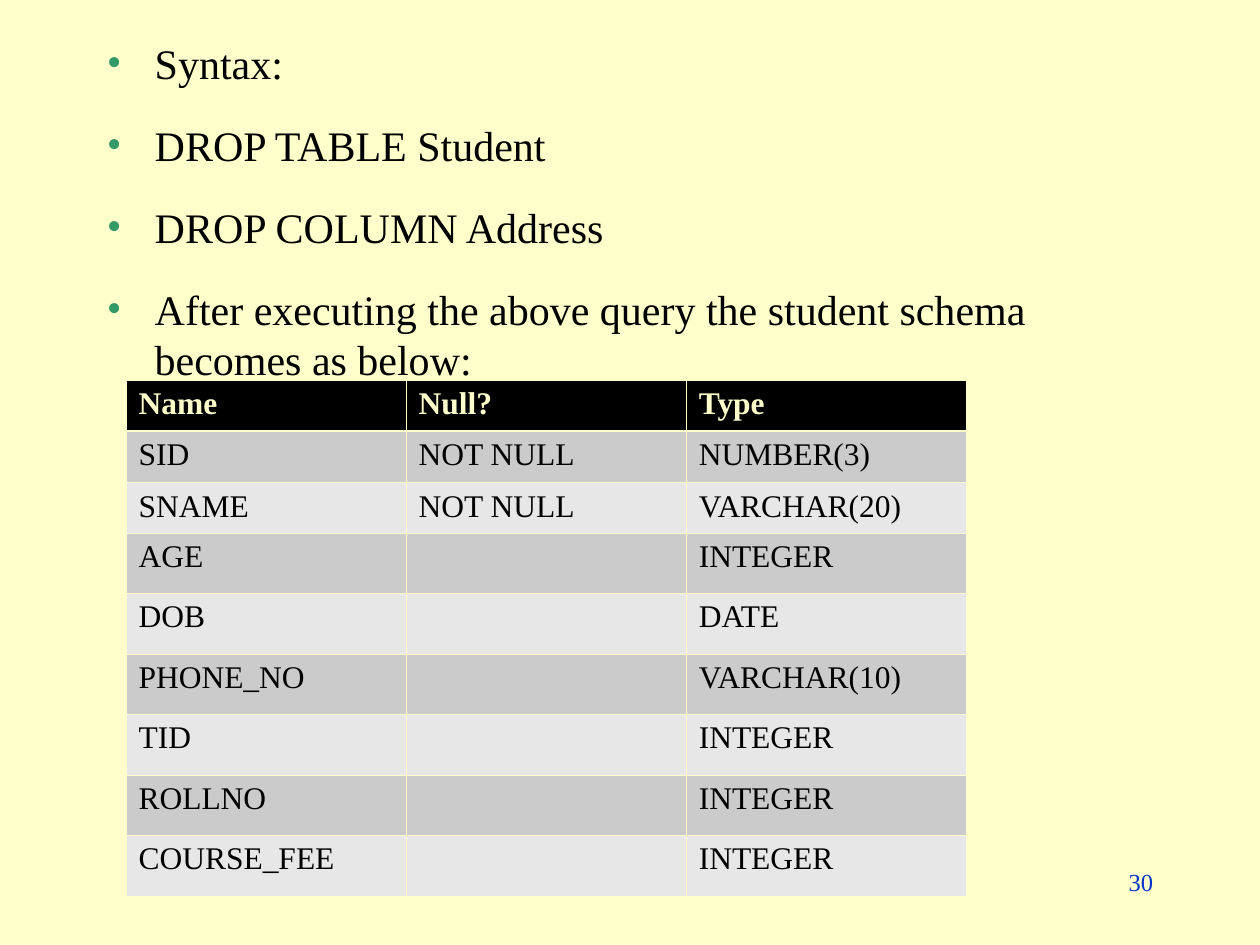
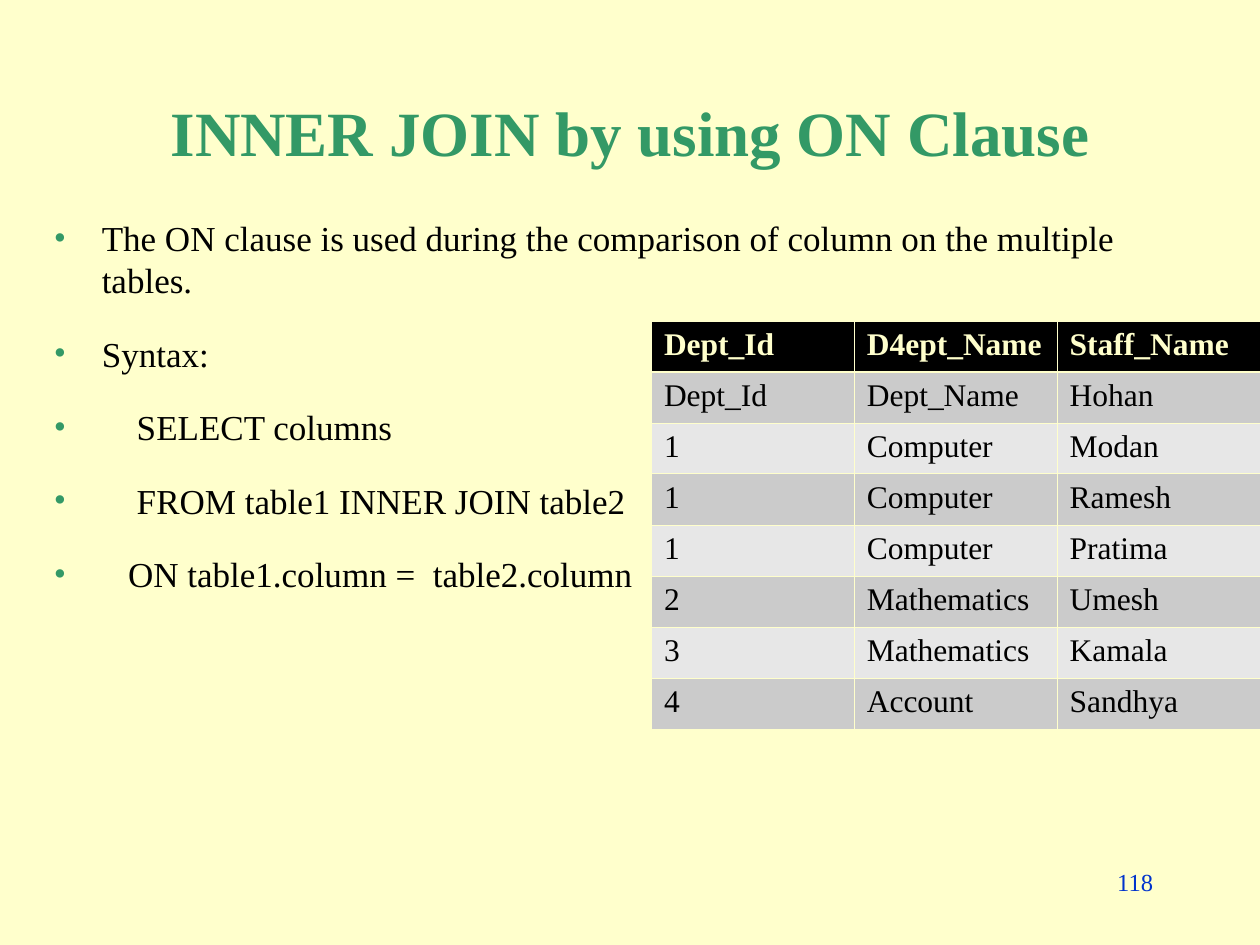
"""Build two slides on dropping a column and joining tables in SQL."""
from dataclasses import dataclass

from lxml.etree import SubElement as Sub
from pptx import Presentation
from pptx.dml.color import RGBColor as RGB
from pptx.enum.text import MSO_ANCHOR as Anchor, PP_ALIGN as Align
from pptx.oxml.ns import qn
from pptx.util import Inches, Pt


@dataclass(frozen=True)
class Theme:
    face: str = "Times New Roman"
    paper: str = "FFFFCC"
    ink: str = "000000"
    green: str = "339966"
    blue: str = "0033CC"
    bands: tuple = ("E7E7E7", "CBCBCB")
    title: int = 36
    cell: int = 18
    page: int = 14
    gap: int = 18
    indent: float = 0.38
    thin: float = 0.45
    thick: float = 1.47
    full: tuple = (0.4, 0.41)
    sparse: float = 0.48


class Deck:
    def __init__(self, theme):
        self.theme = theme
        self.prs = Presentation()
        self.prs.slide_width, self.prs.slide_height = Inches(10), Inches(7.5)
        fill = self.prs.slide_master.background.fill
        fill.solid()
        fill.fore_color.rgb = RGB.from_string(theme.paper)
        self.slide = None

    def start(self, page, title=None):
        layout = self.prs.slide_layouts[5 if title else 6]
        self.slide = self.prs.slides.add_slide(layout)
        if title:
            self.head(title)
        para = self.box(7.17, 6.83, 2.08, 0.5).paragraphs[0]
        para.text = str(page)
        para.alignment = Align.RIGHT
        self.style(para, self.theme.page, self.theme.blue)

    def style(self, para, size, color, bold=False):
        font = para.font
        font.name, font.size, font.bold = self.theme.face, Pt(size), bold
        font.color.rgb = RGB.from_string(color)

    def head(self, text):
        shape = self.slide.shapes.title
        shape.left, shape.top = Inches(0.75), Inches(0.67)
        shape.width, shape.height = Inches(8.5), Inches(0.75)
        frame = shape.text_frame
        frame.text = text
        frame.vertical_anchor = Anchor.MIDDLE
        para = frame.paragraphs[0]
        para.alignment = Align.CENTER
        self.style(para, self.theme.title, self.theme.green, True)

    def box(self, *place):
        frame = self.slide.shapes.add_textbox(*map(Inches, place)).text_frame
        frame.word_wrap = True
        return frame

    def bullets(self, place, lines, size):
        theme = self.theme
        frame = self.box(*place)
        for index, line in enumerate(lines):
            para = frame.add_paragraph() if index else frame.paragraphs[0]
            para.text = line
            if index:
                para.space_before = Pt(theme.gap)
            props = para._p.get_or_add_pPr()
            props.set("marL", str(Inches(theme.indent)))
            props.set("indent", str(-Inches(theme.indent)))
            tint = Sub(props, qn("a:buClr"))
            Sub(tint, qn("a:srgbClr"), val=theme.green)
            Sub(props, qn("a:buFont"), typeface=theme.face)
            Sub(props, qn("a:buChar"), char="•")
            self.style(para, size, theme.ink)

    def border(self, cell, row):
        props = cell._tc.get_or_add_tcPr()
        for side in "LRTB":
            heavy = (row, side) in ((0, "B"), (1, "T"))
            width = self.theme.thick if heavy else self.theme.thin
            line = Sub(props, qn(f"a:ln{side}"), w=str(Pt(width)))
            fill = Sub(line, qn("a:solidFill"))
            Sub(fill, qn("a:srgbClr"), val=self.theme.paper)

    def table(self, left, top, width, rows):
        theme = self.theme
        heights = [theme.full[index % 2] if all(row) else theme.sparse
                   for index, row in enumerate(rows)]
        place = map(Inches, (left, top, width, sum(heights)))
        table = self.slide.shapes.add_table(len(rows), len(rows[0]), *place).table
        table.horz_banding = False
        for index, row in enumerate(rows):
            table.rows[index].height = Inches(heights[index])
            first = index == 0
            shade = theme.ink if first else theme.bands[index % 2]
            color = theme.paper if first else theme.ink
            for cell, text in zip(table.rows[index].cells, row):
                cell.text = text
                self.border(cell, index)
                cell.fill.solid()
                cell.fill.fore_color.rgb = RGB.from_string(shade)
                self.style(cell.text_frame.paragraphs[0], theme.cell, color, first)


def main():
    deck = Deck(Theme())

    deck.start(30)
    deck.bullets((0.75, 0.25, 8.5, 6.42), (
        "Syntax:",
        "DROP TABLE Student",
        "DROP COLUMN Address",
        "After executing the above query the student schema becomes as below:",
    ), 24)
    deck.table(1, 3.02, 6.67, (
        ("Name", "Null?", "Type"),
        ("SID", "NOT NULL", "NUMBER(3)"),
        ("SNAME", "NOT NULL", "VARCHAR(20)"),
        ("AGE", "", "INTEGER"),
        ("DOB", "", "DATE"),
        ("PHONE_NO", "", "VARCHAR(10)"),
        ("TID", "", "INTEGER"),
        ("ROLLNO", "", "INTEGER"),
        ("COURSE_FEE", "", "INTEGER"),
    ))

    deck.start(118, "INNER JOIN by using ON Clause")
    deck.bullets((0.33, 1.67, 9.33, 5), (
        "The ON clause is used during the comparison of column on the multiple tables.",
        "Syntax:",
        "    SELECT columns",
        "    FROM table1 INNER JOIN table2",
        "   ON table1.column =  table2.column",
    ), 20)
    deck.table(5.17, 2.55, 4.83, (
        ("Dept_Id", "D4ept_Name", "Staff_Name"),
        ("Dept_Id", "Dept_Name", "Hohan"),
        ("1", "Computer", "Modan"),
        ("1", "Computer", "Ramesh"),
        ("1", "Computer", "Pratima"),
        ("2", "Mathematics", "Umesh"),
        ("3", "Mathematics", "Kamala"),
        ("4", "Account", "Sandhya"),
    ))

    deck.prs.save("out.pptx")


if __name__ == "__main__":
    main()
